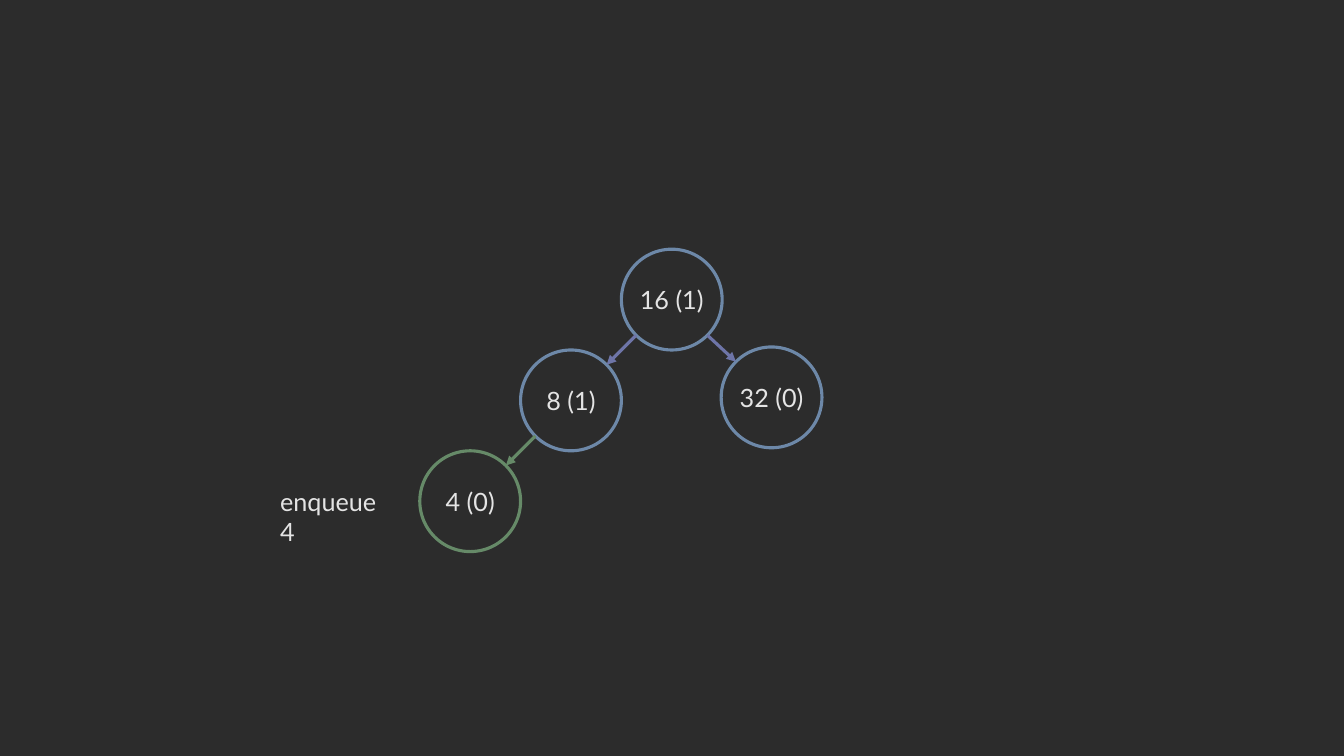
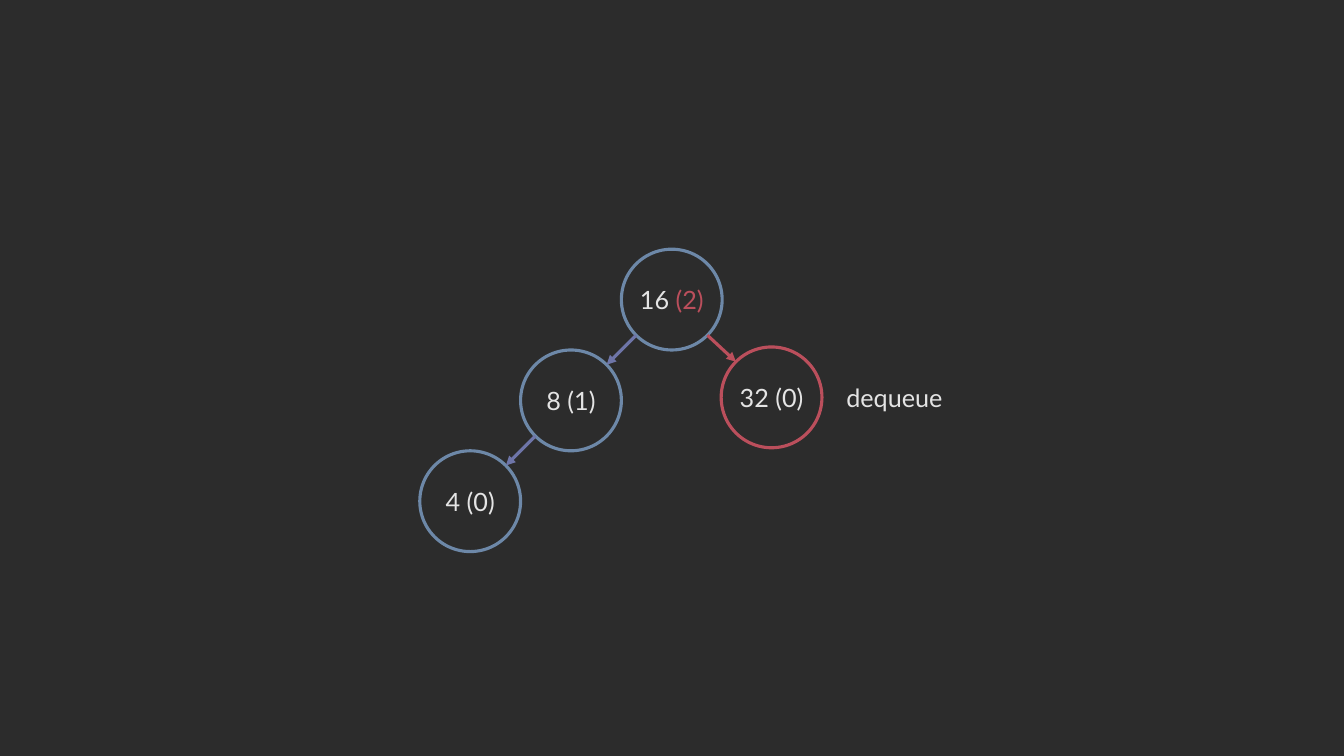
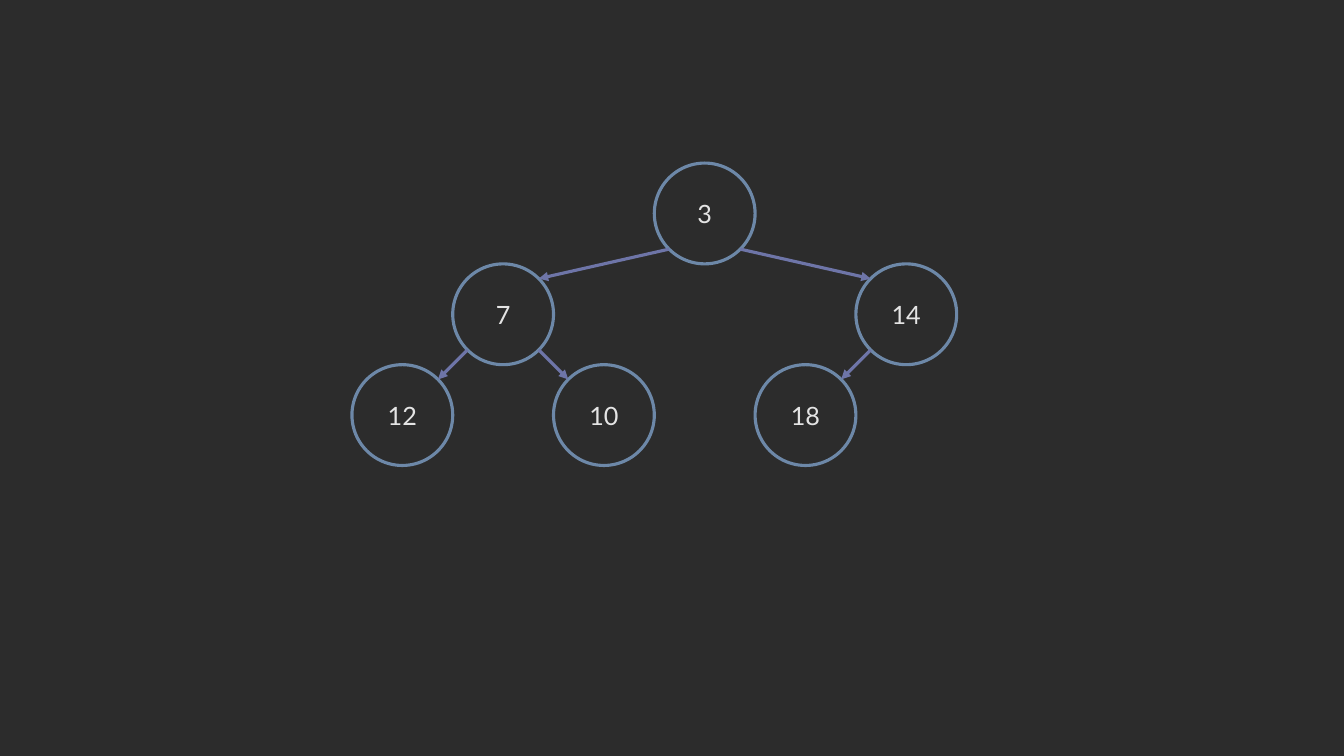
import math

import pptx
import pptx.dml.color
import pptx.enum.shapes
import pptx.enum.text
import pptx.oxml.ns
import pptx.util
from lxml import etree

BACKGROUND = "2C2C2C"
TEXT = "E4E4E4"
NODE = "6D88A8"
EDGE = "6E75A8"
ADDED = "668A68"
REMOVED = "BB4F5C"

FONT = "Lato"
FONT_SIZE = 18
LINE_WIDTH = 2.25
DIAMETER = 2.54
CALL_WIDTH, CALL_HEIGHT = 3.3, 1.02

BOTTOM_LEFT, BOTTOM_RIGHT = 3, 5
TOP_LEFT, TOP_RIGHT = 1, 7

Cm = pptx.util.Cm
qn = pptx.oxml.ns.qn


def color(value):
    return pptx.dml.color.RGBColor.from_string(value)


def write(paragraph, parts):
    for text, ink in parts:
        run = paragraph.add_run()
        run.text = text
        run.font.name = FONT
        run.font.size = pptx.util.Pt(FONT_SIZE)
        run.font.color.rgb = color(ink)


def style_line(line, ink):
    line.color.rgb = color(ink)
    line.width = pptx.util.Pt(LINE_WIDTH)


def add_node(slide, left, top, parts, ink):
    node = slide.shapes.add_shape(
        pptx.enum.shapes.MSO_SHAPE.OVAL,
        Cm(left), Cm(top), Cm(DIAMETER), Cm(DIAMETER))
    node.shadow.inherit = False
    node.fill.background()
    style_line(node.line, ink)
    frame = node.text_frame
    frame.margin_left = frame.margin_right = 0
    frame.margin_top = frame.margin_bottom = 0
    frame.vertical_anchor = pptx.enum.text.MSO_ANCHOR.MIDDLE
    frame.paragraphs[0].alignment = pptx.enum.text.PP_ALIGN.CENTER
    write(frame.paragraphs[0], parts)
    return node


def rim_point(node, site):
    angle = math.radians(90 + 45 * site)
    radius = node.width / 2
    return (round(node.left + radius + radius * math.cos(angle)),
            round(node.top + radius - radius * math.sin(angle)))


def add_edge(slide, parent, child, ink):
    if child.left < parent.left:
        start, end = BOTTOM_LEFT, TOP_RIGHT
    else:
        start, end = BOTTOM_RIGHT, TOP_LEFT
    edge = slide.shapes.add_connector(
        pptx.enum.shapes.MSO_CONNECTOR.STRAIGHT,
        *rim_point(parent, start), *rim_point(child, end))
    style_line(edge.line, ink)
    properties = edge._element.spPr
    etree.SubElement(properties.find(qn("a:ln")), qn("a:tailEnd"), type="triangle")
    etree.SubElement(properties, qn("a:effectLst"))
    links = edge._element.find(".//" + qn("p:cNvCxnSpPr"))
    for tag, node, site in (("a:stCxn", parent, start), ("a:endCxn", child, end)):
        etree.SubElement(links, qn(tag), id=str(node.shape_id), idx=str(site))


def add_call(slide, left, top, text):
    call = slide.shapes.add_textbox(Cm(left), Cm(top), Cm(CALL_WIDTH), Cm(CALL_HEIGHT))
    call.text_frame.word_wrap = True
    write(call.text_frame.paragraphs[0], [(text, TEXT)])


def add_tree(slide, root_left, root_top, places, edges, labels=None,
             node_inks=None, edge_inks=None):
    labels, node_inks, edge_inks = labels or {}, node_inks or {}, edge_inks or {}
    nodes = {
        key: add_node(slide, root_left + column * DIAMETER, root_top + row * DIAMETER,
                      labels.get(key, [(key, TEXT)]), node_inks.get(key, NODE))
        for key, (column, row) in places.items()
    }
    for parent, child in edges:
        add_edge(slide, nodes[parent], nodes[child], edge_inks.get(child, EDGE))


def main():
    deck = pptx.Presentation()
    deck.slide_width, deck.slide_height = Cm(33.87), Cm(19.05)
    backdrop = deck.slide_master.background.fill
    backdrop.solid()
    backdrop.fore_color.rgb = color(BACKGROUND)
    blank = deck.slide_layouts[6]

    queue = {
        "root_left": 15.66,
        "root_top": 6.28,
        "places": {"16 (1)": (0, 0), "32 (0)": (0.99, 0.97),
                   "8 (1)": (-1, 1), "4 (0)": (-2, 2)},
        "edges": [("16 (1)", "32 (0)"), ("16 (1)", "8 (1)"), ("8 (1)", "4 (0)")],
    }

    enqueue = deck.slides.add_slide(blank)
    add_tree(enqueue, **queue, node_inks={"4 (0)": ADDED}, edge_inks={"4 (0)": ADDED})
    add_call(enqueue, 6.81, 12.12, "enqueue 4")

    dequeue = deck.slides.add_slide(blank)
    add_tree(dequeue, **queue,
             labels={"16 (1)": [("16 ", TEXT), ("(2)", REMOVED)]},
             node_inks={"32 (0)": REMOVED}, edge_inks={"32 (0)": REMOVED})
    add_call(dequeue, 21.08, 9.5, "dequeue")

    heap = deck.slides.add_slide(blank)
    add_tree(heap, 16.49, 4.11,
             {"3": (0, 0), "7": (-2, 1), "14": (2, 1),
              "12": (-3, 2), "10": (-1, 2), "18": (1, 2)},
             [("3", "7"), ("3", "14"), ("7", "12"), ("7", "10"), ("14", "18")])

    deck.save("out.pptx")


if __name__ == "__main__":
    main()
